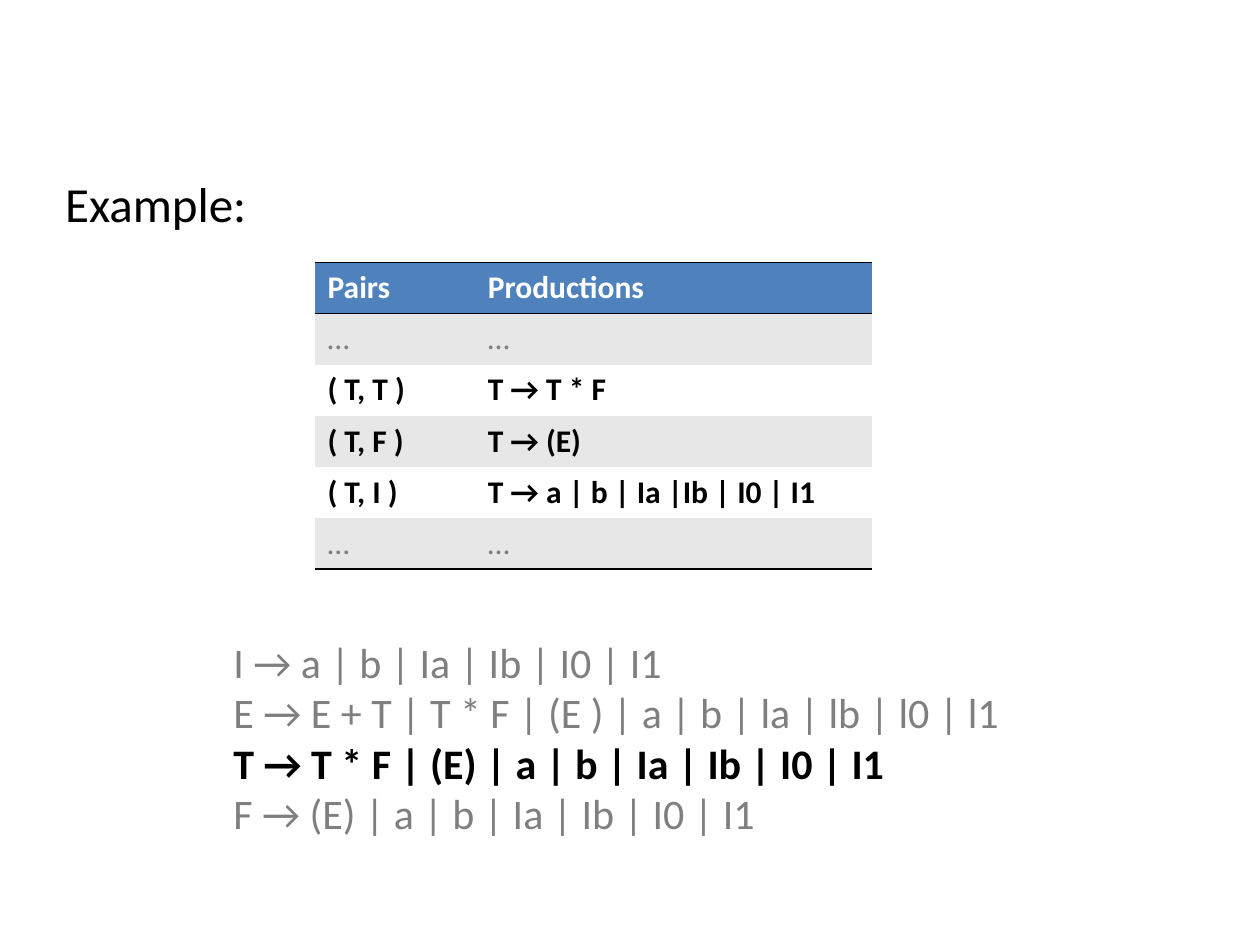
from dataclasses import dataclass

from lxml import etree
from pptx import Presentation
from pptx import util as u
from pptx.dml import color
from pptx.enum import text
from pptx.oxml import ns

FONT = "Calibri"
BLACK, WHITE, GREY = "000000", "FFFFFF", "7F7F7F"
HEADER_BLUE, BAND_GREY = "4F81BD", "E7E7E7"
BORDER_WIDTH = u.Pt(0.96)


@dataclass
class Line:
    wording: str
    hex_color: str = GREY
    bold: bool = False


@dataclass
class Row:
    pair: str
    production: str
    hex_color: str = BLACK
    bold: bool = True
    fill: str = WHITE
    top: bool = False
    bottom: bool = False


ROWS = [
    Row("Pairs", "Productions", WHITE, fill=HEADER_BLUE, top=True, bottom=True),
    Row("…", "…", GREY, False, BAND_GREY, top=True),
    Row("( T, T )", "T → T * F"),
    Row("( T, F )", "T → (E)", fill=BAND_GREY),
    Row("( T, I )", "T → a | b | Ia |Ib | I0 | I1"),
    Row("…", "…", GREY, False, BAND_GREY, bottom=True),
]

GRAMMAR = [
    Line("I → a | b | Ia | Ib | I0 | I1"),
    Line("E → E + T | T * F | (E ) | a | b | la | lb | l0 | l1"),
    Line("T → T * F | (E) | a | b | Ia | Ib | I0 | I1", BLACK, True),
    Line("F → (E) | a | b | Ia | Ib | I0 | I1"),
]


def rgb(hex_color: str) -> color.RGBColor:
    return color.RGBColor.from_string(hex_color)


def write(paragraph, line: Line, size: float) -> None:
    paragraph.text = line.wording
    paragraph.alignment = text.PP_ALIGN.LEFT
    font = paragraph.font
    font.name, font.size, font.bold = FONT, u.Pt(size), line.bold
    font.color.rgb = rgb(line.hex_color)


def fill_placeholder(holder, box: tuple, lines: list[Line], size: float) -> None:
    holder.left, holder.top, holder.width, holder.height = map(u.Cm, box)
    frame = holder.text_frame
    frame.word_wrap = True
    frame.auto_size = text.MSO_AUTO_SIZE.NONE
    frame.vertical_anchor = text.MSO_ANCHOR.TOP
    for index, line in enumerate(lines):
        paragraph = frame.paragraphs[0] if index == 0 else frame.add_paragraph()
        properties = paragraph._p.get_or_add_pPr()
        properties.set("marL", "0")
        properties.set("indent", "0")
        etree.SubElement(properties, ns.qn("a:buNone"))
        paragraph.space_before = u.Pt(0)
        write(paragraph, line, size)


def set_borders(cell, top: bool, bottom: bool) -> None:
    properties = cell._tc.get_or_add_tcPr()
    sides = {"lnL": False, "lnR": False, "lnT": top, "lnB": bottom}
    for side, visible in sides.items():
        border = etree.SubElement(properties, ns.qn(f"a:{side}"), w=str(int(BORDER_WIDTH)))
        if visible:
            solid = etree.SubElement(border, ns.qn("a:solidFill"))
            etree.SubElement(solid, ns.qn("a:srgbClr"), val=BLACK)
        else:
            etree.SubElement(border, ns.qn("a:noFill"))


def draw_table(slide, rows: list[Row]) -> None:
    row_height, column_widths = 1.03, (3.23, 8)
    table = slide.shapes.add_table(
        len(rows), 2, u.Cm(6.35), u.Cm(5.29),
        u.Cm(sum(column_widths)), u.Cm(row_height * len(rows)),
    ).table
    for column, width in zip(table.columns, column_widths):
        column.width = u.Cm(width)
    for table_row, row in zip(table.rows, rows):
        for cell, wording in zip(table_row.cells, (row.pair, row.production)):
            set_borders(cell, row.top, row.bottom)
            cell.fill.solid()
            cell.fill.fore_color.rgb = rgb(row.fill)
            line = Line(wording, row.hex_color, row.bold)
            write(cell.text_frame.paragraphs[0], line, 18)


def main() -> None:
    """Build the slide on grammar pairs and their productions."""
    deck = Presentation()
    deck.slide_width, deck.slide_height = u.Cm(25.4), u.Cm(19.05)
    slide = deck.slides.add_slide(deck.slide_layouts[1])
    heading, grammar = slide.placeholders
    fill_placeholder(heading, (1.06, 3.38, 21.17, 1.45), [Line("Example:", BLACK)], 28)
    draw_table(slide, ROWS)
    fill_placeholder(grammar, (4.45, 12.7, 16.3, 4.32), GRAMMAR, 24)
    deck.save("out.pptx")


if __name__ == "__main__":
    main()
